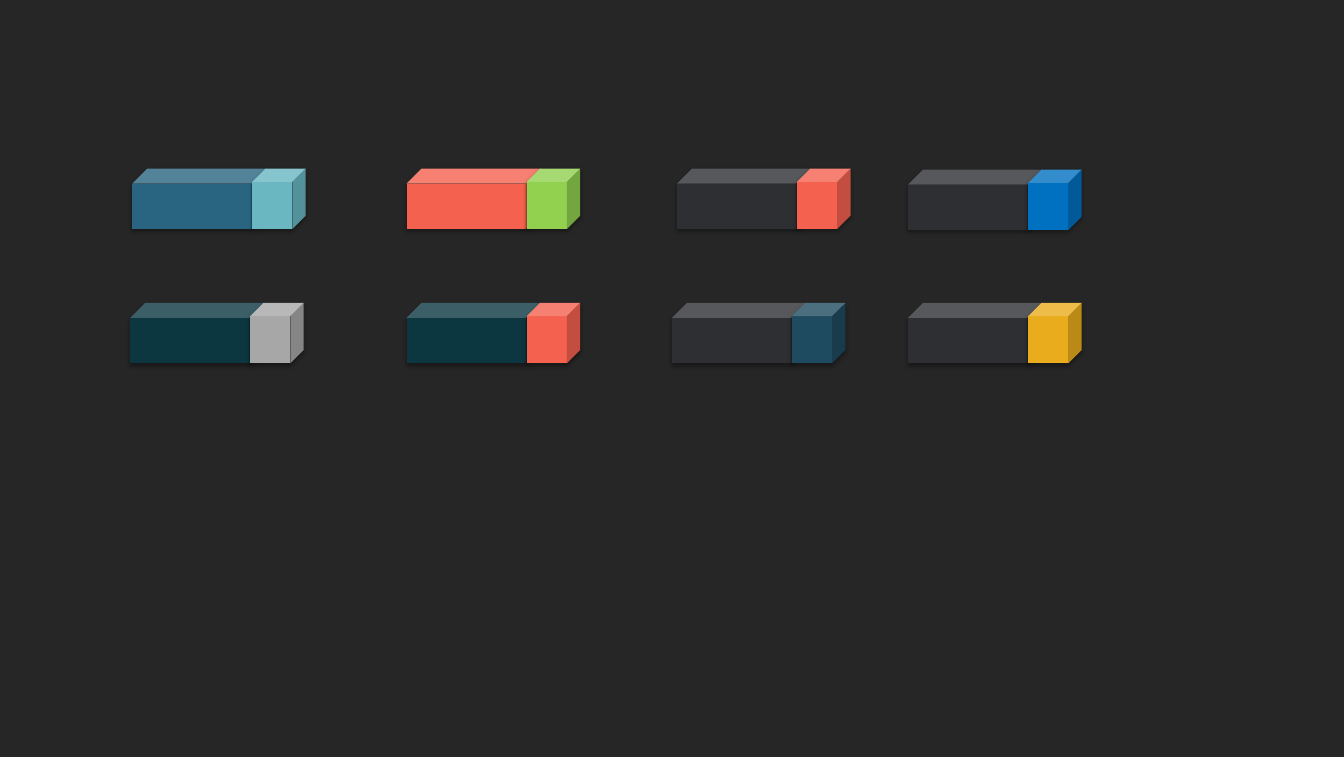
from typing import NamedTuple

from lxml import etree
from pptx import Presentation
from pptx.dml.color import RGBColor
from pptx.enum.shapes import MSO_SHAPE
from pptx.oxml.ns import qn
from pptx.shapes.autoshape import Shape
from pptx.shapes.group import GroupShape
from pptx.util import Inches, Pt

CUBE = MSO_SHAPE.CUBE

BACKGROUND = RGBColor(0x26, 0x26, 0x26)
STEEL = RGBColor(0x29, 0x64, 0x80)
AQUA = RGBColor(0x6A, 0xB7, 0xC2)
CORAL = RGBColor(0xF4, 0x61, 0x4E)
GREEN = RGBColor(0x92, 0xD0, 0x50)
TEAL = RGBColor(0x0C, 0x37, 0x41)
GRAY = RGBColor(0xA7, 0xA7, 0xA7)
CHARCOAL = RGBColor(0x2E, 0x2F, 0x33)
NAVY = RGBColor(0x1F, 0x4B, 0x60)
BLUE = RGBColor(0x00, 0x70, 0xC0)
AMBER = RGBColor(0xE9, 0xAC, 0x1C)

BAR_HEIGHT = 0.6
BODY_WIDTH = 1.33
CAP_WIDTH = 0.53
CAP_OFFSET = 1.19


class Bar(NamedTuple):
    left: float
    top: float
    body_color: RGBColor
    cap_color: RGBColor


BARS = [
    Bar(1.31, 1.67, STEEL, AQUA),
    Bar(4.03, 1.67, CORAL, GREEN),
    Bar(4.03, 3, TEAL, CORAL),
    Bar(1.29, 3, TEAL, GRAY),
    Bar(6.71, 1.67, CHARCOAL, CORAL),
    Bar(6.66, 3, CHARCOAL, NAVY),
    Bar(9, 1.68, CHARCOAL, BLUE),
    Bar(9, 3, CHARCOAL, AMBER),
]


def add_soft_shadow(shape: Shape) -> None:
    """Cast a faint black shadow straight down."""
    shape.shadow.inherit = False
    effects = shape._element.spPr.find(qn("a:effectLst"))
    shadow = etree.SubElement(
        effects, qn("a:outerShdw"), blurRad=str(Pt(3)), dist=str(Pt(1.8)),
        dir="5400000", rotWithShape="0")
    color = etree.SubElement(shadow, qn("a:srgbClr"), val="000000")
    etree.SubElement(color, qn("a:alpha"), val="35000")


def add_cube(group: GroupShape, left: float, top: float, width: float,
             color: RGBColor) -> None:
    cube = group.shapes.add_shape(
        CUBE, Inches(left), Inches(top), Inches(width), Inches(BAR_HEIGHT))
    cube.fill.solid()
    cube.fill.fore_color.rgb = color
    cube.line.fill.background()
    add_soft_shadow(cube)


def main() -> None:
    presentation = Presentation()
    presentation.slide_width = Inches(13.32)
    presentation.slide_height = Inches(7.5)
    slide = presentation.slides.add_slide(presentation.slide_layouts[6])
    slide.background.fill.solid()
    slide.background.fill.fore_color.rgb = BACKGROUND

    for bar in BARS:
        group = slide.shapes.add_group_shape()
        add_cube(group, bar.left, bar.top, BODY_WIDTH, bar.body_color)
        add_cube(group, bar.left + CAP_OFFSET, bar.top, CAP_WIDTH, bar.cap_color)

    presentation.save("out.pptx")


if __name__ == "__main__":
    main()
